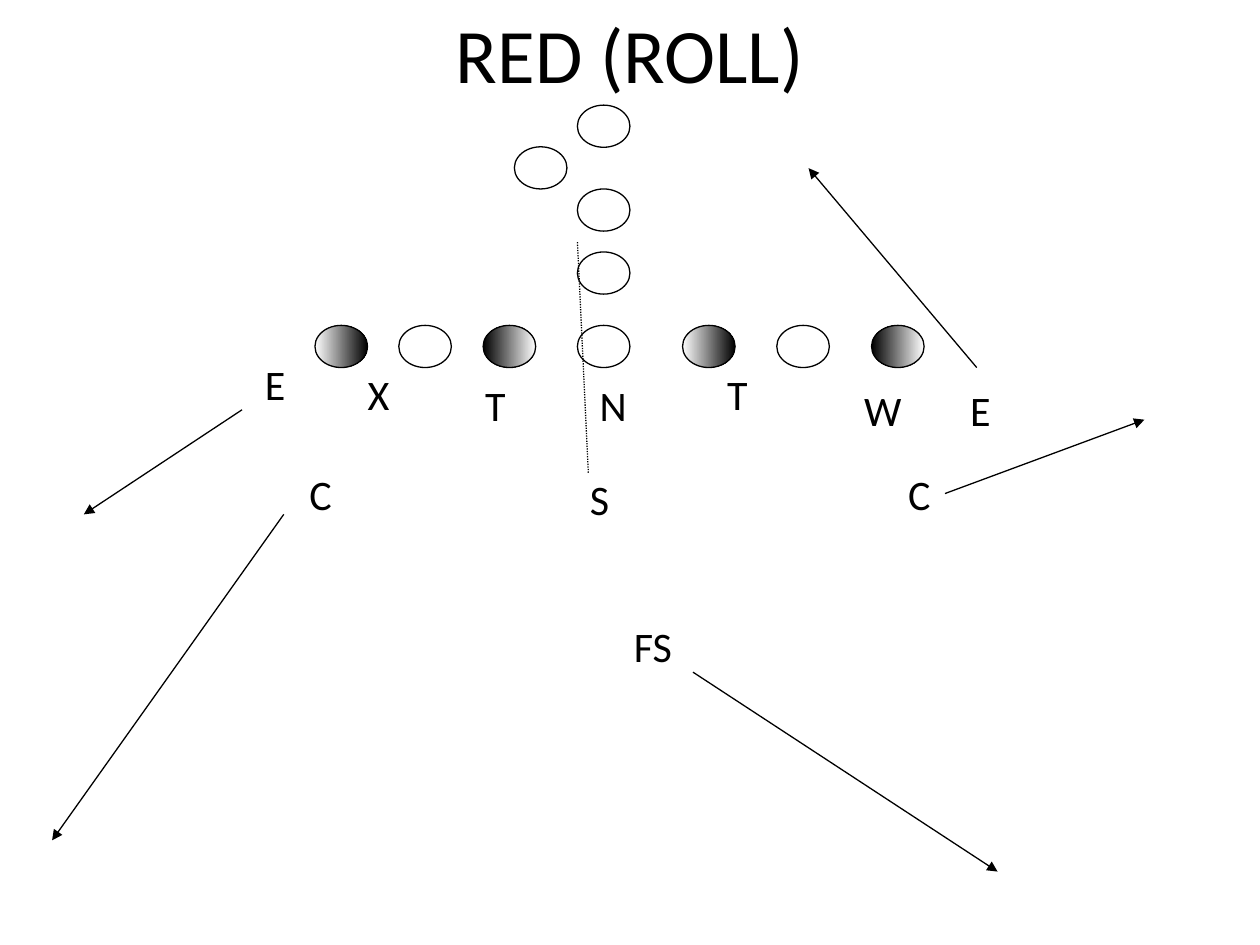
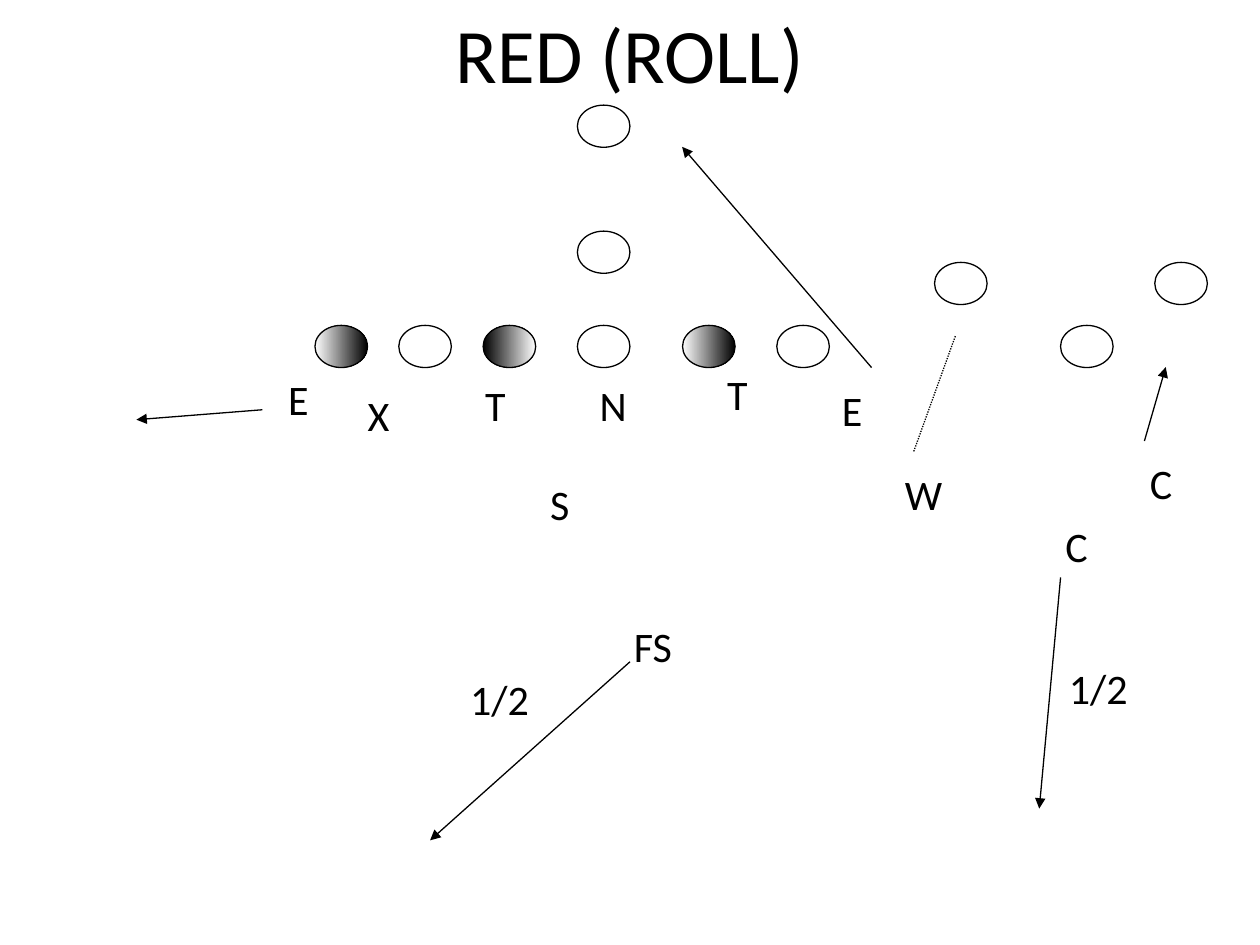
from lxml.etree import SubElement
from pptx import Presentation
from pptx.dml.color import RGBColor
from pptx.enum.dml import MSO_LINE
from pptx.enum.shapes import MSO_CONNECTOR, MSO_SHAPE
from pptx.enum.text import MSO_ANCHOR, MSO_AUTO_SIZE, PP_ALIGN
from pptx.oxml.ns import qn
from pptx.util import Cm, Pt

BLACK = "000000"
WHITE = "FFFFFF"
FONT = "Calibri"
OUTLINE = Pt(0.75)
PLAYER_WIDTH, PLAYER_HEIGHT = 1.06, 0.85
CENTER_X = 11.64
SCRIMMAGE_Y = 6.56
LETTER_HEIGHT = 1.27
LETTER_WIDTHS = {"E": 0.91, "T": 0.91, "N": 1.04, "W": 1.24, "X": 0.94,
                 "C": 0.97, "S": 0.89, "FS": 1.28, "1/2": 1.75}

OPEN = (WHITE,)
SHADE_RIGHT = (WHITE, BLACK)
SHADE_LEFT = (BLACK, WHITE)

SHARED_LINE = [(6.35, SHADE_RIGHT), (8.04, OPEN), (9.74, SHADE_LEFT),
               (CENTER_X, OPEN), (13.76, SHADE_RIGHT), (15.66, OPEN)]
SHARED_DEFENDERS = [("N", 11.84, 7.52), ("T", 9.53, 7.52),
                    ("T", 14.41, 7.3), ("FS", 12.53, 12.38)]


def color(hex_string):
    return RGBColor.from_string(hex_string)


def add_text(slide, text, left, top, width, height, size, wrap):
    box = slide.shapes.add_textbox(Cm(left), Cm(top), Cm(width), Cm(height))
    frame = box.text_frame
    frame.word_wrap = wrap
    paragraph = frame.paragraphs[0]
    paragraph.text = text
    paragraph.font.name = FONT
    paragraph.font.size = Pt(size)
    paragraph.font.color.rgb = color(BLACK)
    return frame


def add_title(slide, text):
    frame = add_text(slide, text, 1.9, 0, 21.6, 2.12, 44, True)
    frame.vertical_anchor = MSO_ANCHOR.MIDDLE
    frame.paragraphs[0].alignment = PP_ALIGN.CENTER


def add_letter(slide, text, left, top, wrap_width=None):
    width = wrap_width or LETTER_WIDTHS[text]
    frame = add_text(slide, text, left, top, width, LETTER_HEIGHT, 24,
                     wrap_width is not None)
    frame.auto_size = MSO_AUTO_SIZE.SHAPE_TO_FIT_TEXT


def add_player(slide, left, top, shades=OPEN):
    player = slide.shapes.add_shape(MSO_SHAPE.OVAL, Cm(left), Cm(top),
                                    Cm(PLAYER_WIDTH), Cm(PLAYER_HEIGHT))
    player.shadow.inherit = False
    player.line.color.rgb = color(BLACK)
    player.line.width = OUTLINE
    if len(shades) == 1:
        player.fill.solid()
        player.fill.fore_color.rgb = color(shades[0])
    else:
        player.fill.gradient()
        player.fill.gradient_angle = 0
        for stop, shade in zip(player.fill.gradient_stops, shades):
            stop.color.rgb = color(shade)


def add_path(slide, start, end, is_drop=True):
    points = [Cm(value) for value in (*start, *end)]
    route = slide.shapes.add_connector(MSO_CONNECTOR.STRAIGHT, *points)
    route.line.color.rgb = color(BLACK)
    route.line.width = OUTLINE
    if is_drop:
        SubElement(route.line._get_or_add_ln(), qn("a:tailEnd"), type="triangle")
    else:
        route.line.dash_style = MSO_LINE.ROUND_DOT
    SubElement(route._element.spPr, qn("a:effectLst"))


def add_play(deck, title, players, defenders, drops, man_key):
    slide = deck.slides.add_slide(deck.slide_layouts[6])
    add_title(slide, title)
    for left, shades in SHARED_LINE:
        add_player(slide, left, SCRIMMAGE_Y, shades)
    for player in players:
        add_player(slide, *player)
    for defender in SHARED_DEFENDERS + defenders:
        add_letter(slide, *defender)
    for start, end in drops:
        add_path(slide, start, end)
    add_path(slide, *man_key, is_drop=False)


def main():
    deck = Presentation()
    deck.slide_width, deck.slide_height = Cm(25.4), Cm(19.05)
    title = "RED (ROLL)"

    add_play(
        deck, title,
        players=[(CENTER_X, 2.12), (10.37, 2.96), (CENTER_X, 3.81),
                 (CENTER_X, 5.08), (17.57, SCRIMMAGE_Y, SHADE_LEFT)],
        defenders=[("W", 17.17, 7.62), ("E", 19.31, 7.62), ("X", 7.16, 7.3),
                   ("E", 5.09, 7.11), ("C", 5.99, 9.32), ("S", 11.64, 9.42),
                   ("C", 18.06, 9.32)],
        drops=[((4.88, 8.26), (1.69, 10.37)),
               ((5.72, 10.37), (1.05, 16.94)),
               ((13.97, 13.55), (20.11, 17.57)),
               ((19.69, 7.41), (16.3, 3.39)),
               ((19.05, 9.95), (23.07, 8.46))],
        man_key=((11.86, 9.53), (11.64, 4.87)))

    add_play(
        deck, title,
        players=[(CENTER_X, 2.12), (CENTER_X, 4.66), (18.84, 5.29),
                 (23.28, 5.29), (21.38, SCRIMMAGE_Y)],
        defenders=[("W", 17.99, 9.32, 1.04), ("E", 16.72, 7.62, 1.19),
                   ("X", 7.16, 7.72), ("S", 10.84, 9.53), ("C", 22.93, 9.09),
                   ("E", 5.56, 7.41), ("C", 21.23, 10.36),
                   ("1/2", 9.23, 13.46), ("1/2", 21.3, 13.23)],
        drops=[((23.07, 8.89), (23.5, 7.4)),
               ((5.29, 8.26), (2.75, 8.46)),
               ((17.57, 7.41), (13.75, 2.96)),
               ((21.38, 11.64), (20.95, 16.3)),
               ((12.7, 13.34), (8.67, 16.94))],
        man_key=((18.42, 9.1), (19.26, 6.77)))

    deck.save("out.pptx")


if __name__ == "__main__":
    main()
